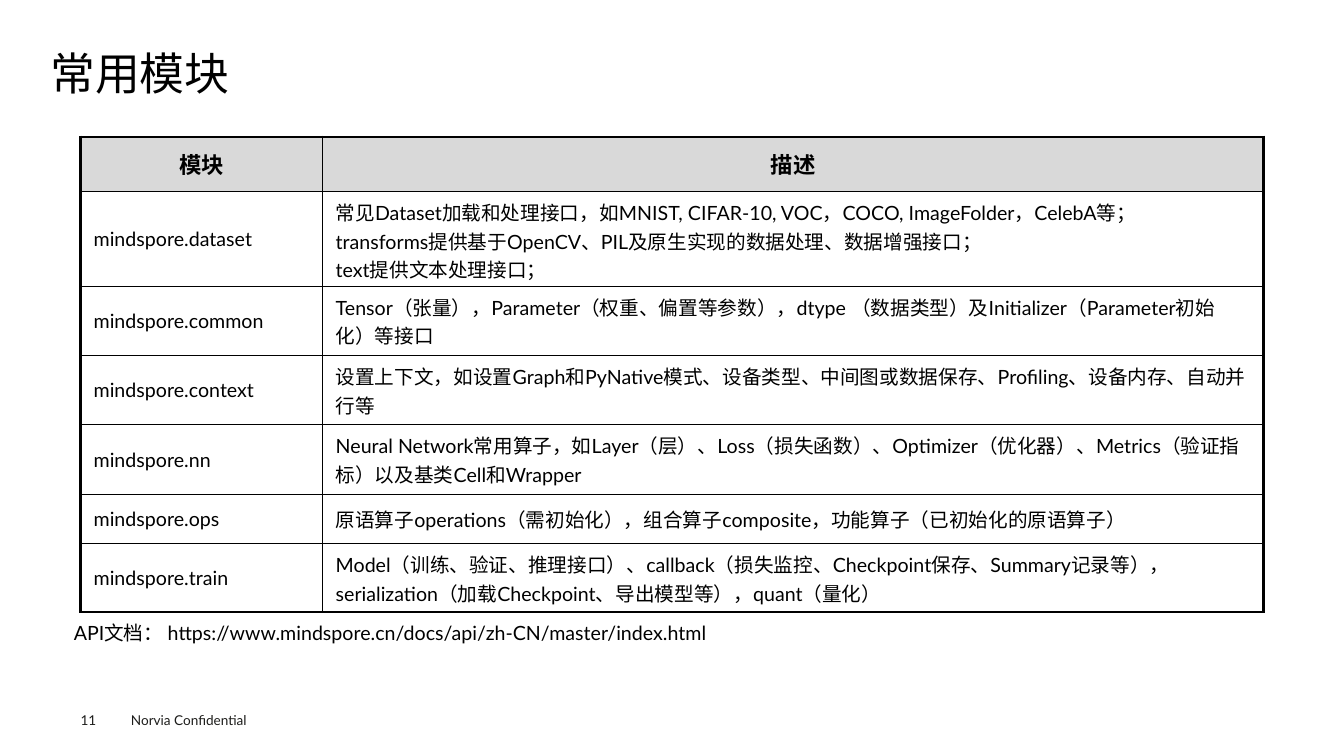
from lxml import etree
from pptx import Presentation
from pptx import util as u
from pptx.dml.color import RGBColor
from pptx.enum import lang, text
from pptx.oxml.ns import qn

COLORS = {"ink": "000000", "footer": "1D1D1B", "header": "D9D9D9"}
FONT = "Lato"
FORMATS = {
    "title": {"size": u.Pt(32)},
    "header": {"size": u.Pt(16), "bold": True},
    "body": {"size": u.Pt(14)},
    "footer": {"size": u.Pt(9.7)},
}
THIN, THICK = 1, 2.25
COLUMN_WIDTHS = [6.1, 23.72]
ROW_HEIGHTS = [1.37, 2.39, 1.75, 1.73, 1.78, 1.22, 1.73]
MODULES = [
    ("模块", "描述"),
    ("mindspore.dataset",
     "常见Dataset加载和处理接口，如MNIST, CIFAR-10, VOC，COCO, ImageFolder，CelebA等；\n"
     "transforms提供基于OpenCV、PIL及原生实现的数据处理、数据增强接口；\n"
     "text提供文本处理接口；"),
    ("mindspore.common",
     "Tensor（张量），Parameter（权重、偏置等参数），dtype （数据类型）及Initializer（Parameter初始化）等接口"),
    ("mindspore.context",
     "设置上下文，如设置Graph和PyNative模式、设备类型、中间图或数据保存、Profiling、设备内存、自动并行等"),
    ("mindspore.nn",
     "Neural Network常用算子，如Layer（层）、Loss（损失函数）、Optimizer（优化器）、Metrics（验证指标）以及基类Cell和Wrapper"),
    ("mindspore.ops",
     "原语算子operations（需初始化），组合算子composite，功能算子（已初始化的原语算子）"),
    ("mindspore.train",
     "Model（训练、验证、推理接口）、callback（损失监控、Checkpoint保存、Summary记录等），"
     "serialization（加载Checkpoint、导出模型等），quant（量化）"),
]


def write(frame, content, style, color="ink", **paragraph_values):
    frame.text = content
    for paragraph in frame.paragraphs:
        for name, value in paragraph_values.items():
            setattr(paragraph, name, value)
        for run in paragraph.runs:
            values = {"name": FONT, "language_id": lang.MSO_LANGUAGE_ID.SIMPLIFIED_CHINESE,
                      "bold": False, **FORMATS[style]}
            for name, value in values.items():
                setattr(run.font, name, value)
            run.font.color.rgb = RGBColor.from_string(COLORS[color])


def add_text(slide, box, content, style, color="ink", **paragraph_values):
    shape = slide.shapes.add_textbox(*map(u.Cm, box))
    frame = shape.text_frame
    values = {"word_wrap": True, "vertical_anchor": text.MSO_ANCHOR.MIDDLE, "margin_left": 0,
              "margin_top": 0, "margin_right": 0, "margin_bottom": 0}
    for name, value in values.items():
        setattr(frame, name, value)
    write(frame, content, style, color, **paragraph_values)


def set_borders(cell, widths):
    properties = cell._tc.get_or_add_tcPr()
    for index, (side, width) in enumerate(widths.items()):
        line = etree.Element(qn(f"a:ln{side}"), w=str(u.Pt(width)))
        fill = etree.SubElement(line, qn("a:solidFill"))
        etree.SubElement(fill, qn("a:srgbClr"), val=COLORS["ink"])
        properties.insert(index, line)


def add_module_table(slide, box):
    last_row, last_column = len(MODULES) - 1, len(COLUMN_WIDTHS) - 1
    shape = slide.shapes.add_table(len(MODULES), len(COLUMN_WIDTHS), *map(u.Cm, box))
    table = shape.table
    table.first_row = table.horz_banding = False
    for column, width in zip(table.columns, COLUMN_WIDTHS):
        column.width = u.Cm(width)
    for row_index, (row, height) in enumerate(zip(table.rows, ROW_HEIGHTS)):
        row.height = u.Cm(height)
        header = row_index == 0
        for column_index, cell in enumerate(row.cells):
            values = {"vertical_anchor": text.MSO_ANCHOR.MIDDLE,
                      "margin_left": u.Cm(0.33), "margin_right": u.Cm(0.33),
                      "margin_top": u.Cm(0.16), "margin_bottom": u.Cm(0.16)}
            for name, value in values.items():
                setattr(cell, name, value)
            if header:
                cell.fill.solid()
                cell.fill.fore_color.rgb = RGBColor.from_string(COLORS["header"])
            else:
                cell.fill.background()
            write(cell.text_frame, MODULES[row_index][column_index],
                  "header" if header else "body",
                  alignment=text.PP_ALIGN.CENTER if header else text.PP_ALIGN.LEFT)
            set_borders(cell, {
                "L": THICK if column_index == 0 else THIN,
                "R": THICK if column_index == last_column else THIN,
                "T": THICK if header else THIN,
                "B": THICK if row_index == last_row else THIN,
            })


def add_footer(slide, box):
    left, top, width, height = box
    add_text(slide, (left, top, 1.2, height), "11", "footer", "footer")
    add_text(slide, (left + 1.27, top, width - 1.27, height),
             "Norvia Confidential", "footer", "footer")


def main():
    presentation = Presentation()
    presentation.slide_width, presentation.slide_height = u.Cm(33.87), u.Cm(19.05)
    slide = presentation.slides.add_slide(presentation.slide_layouts[6])
    add_text(slide, (1.27, 1.24, 31.37, 1.35), "常用模块", "title", line_spacing=0.9)
    add_text(slide, (1.86, 15.5, 30.5, 0.9),
             "API文档： https://www.mindspore.cn/docs/api/zh-CN/master/index.html", "body")
    add_module_table(slide, (2.03, 3.45, sum(COLUMN_WIDTHS), sum(ROW_HEIGHTS)))
    add_footer(slide, (2.03, 17.8, 5.5, 0.68))
    presentation.save("out.pptx")


if __name__ == "__main__":
    main()
